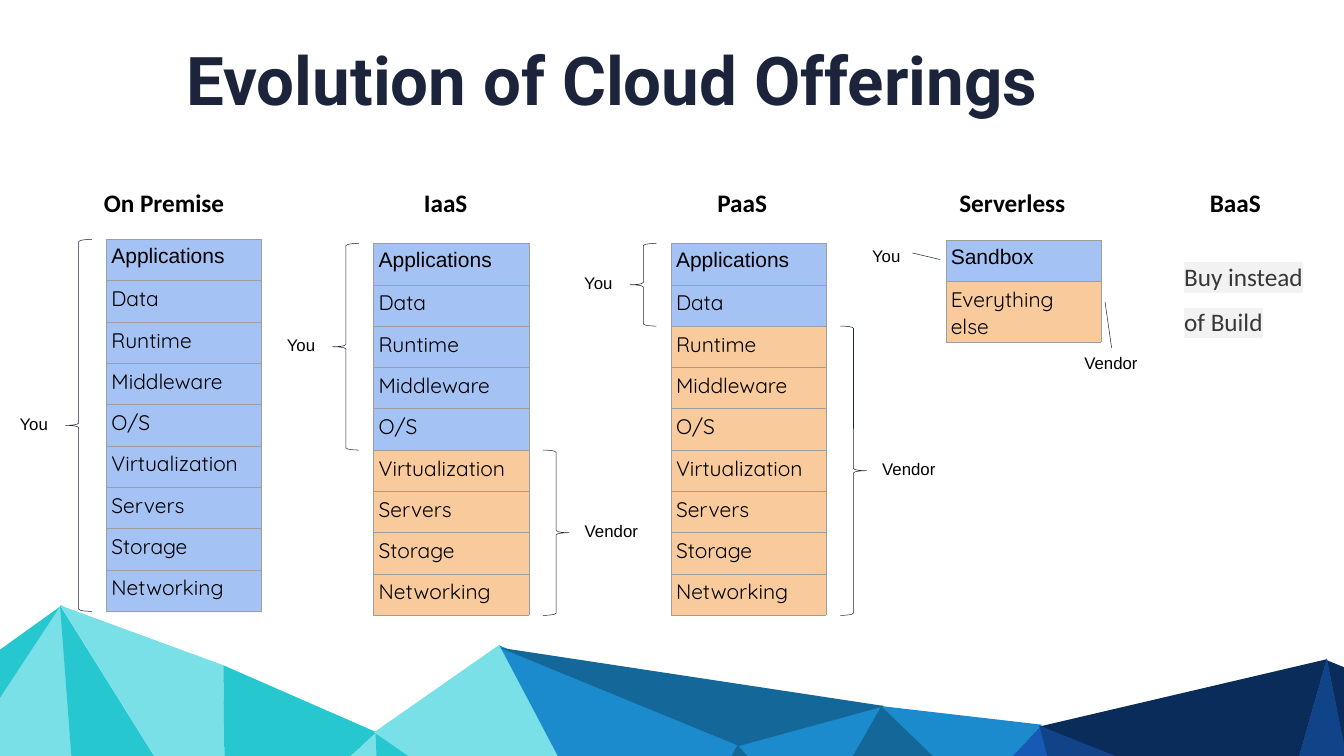
"""Build the slide on the evolution of cloud offerings."""
from dataclasses import dataclass

from lxml import etree
from pptx import Presentation
from pptx.dml.color import RGBColor
from pptx.enum.shapes import MSO_CONNECTOR, MSO_SHAPE
from pptx.enum.text import MSO_ANCHOR, MSO_AUTO_SIZE, PP_ALIGN
from pptx.oxml.ns import qn
from pptx.util import Inches, Pt

LEFT_BRACE, RIGHT_BRACE = MSO_SHAPE.LEFT_BRACE, MSO_SHAPE.RIGHT_BRACE
STRAIGHT = MSO_CONNECTOR.STRAIGHT
TOP = MSO_ANCHOR.TOP
CENTER = PP_ALIGN.CENTER
NO_AUTOFIT = MSO_AUTO_SIZE.NONE

NAVY = RGBColor(0x1B, 0x24, 0x3B)
BLACK = RGBColor(0x00, 0x00, 0x00)
CHARCOAL = RGBColor(0x37, 0x37, 0x37)
HIGHLIGHT = RGBColor(0xF2, 0xF2, 0xF2)
BORDER = RGBColor(0x9E, 0x9E, 0x9E)
YOU_BLUE = RGBColor(0xA4, 0xC2, 0xF4)
VENDOR_ORANGE = RGBColor(0xF9, 0xCB, 0x9C)
TEAL = RGBColor(0x27, 0xC7, 0xCF)
AQUA = RGBColor(0x78, 0xE0, 0xE6)
AZURE = RGBColor(0x1B, 0x8B, 0xCD)
STEEL = RGBColor(0x14, 0x68, 0x99)
COBALT = RGBColor(0x16, 0x5A, 0xB6)
MIDNIGHT = RGBColor(0x0A, 0x2C, 0x5B)
ROYAL = RGBColor(0x10, 0x43, 0x88)

COLUMN_WIDTH = 3.08
ROW_HEIGHT = 0.82
BRACE_WIDTH = 0.52
LABEL_HEIGHT = 0.51
YOU_WIDTH, VENDOR_WIDTH = 0.9, 1.28
LAYERS = ("Applications", "Data", "Runtime", "Middleware", "O/S",
          "Virtualization", "Servers", "Storage", "Networking")


@dataclass
class Facet:
    color: RGBColor
    points: list[tuple[float, float]]


@dataclass
class Stack:
    left: float
    top: float
    layers: tuple[str, ...]
    yours: int
    braced: bool = True


@dataclass
class Heading:
    text: str
    left: float
    width: float


FACETS = [
    Facet(TEAL, [(1.24, 12), (0, 12.89), (0, 13.88)]),
    Facet(AQUA, [(1.57, 16.64), (1.21, 12.01), (-0.02, 13.88), (-0.02, 16.64)]),
    Facet(TEAL, [(4.08, 16.64), (1.19, 12.01), (1.54, 16.64)]),
    Facet(AQUA, [(4.47, 16.64), (4.43, 13.2), (1.19, 12.01), (4.08, 16.64)]),
    Facet(TEAL, [(5.18, 16.64), (7.47, 14.53), (4.43, 13.2), (4.47, 16.64)]),
    Facet(AQUA, [(7.55, 16.64), (7.47, 14.53), (5.18, 16.64)]),
    Facet(TEAL, [(10.52, 16.64), (7.45, 14.53), (7.53, 16.64)]),
    Facet(AQUA, [(11.94, 16.64), (9.91, 12.79), (7.42, 14.53), (10.49, 16.64)]),
    Facet(AZURE, [(13.62, 16.66), (14.66, 14.76), (9.91, 12.81), (11.94, 16.66)]),
    Facet(AZURE, [(14.61, 14.79), (16.1, 16.47), (17.51, 14)]),
    Facet(STEEL, [(16.08, 16.47), (19.35, 15.8), (17.49, 14)]),
    Facet(AZURE, [(17.48, 14.01), (19.34, 15.8), (20.67, 14.38)]),
    Facet(COBALT, [(21.24, 16.71), (20.65, 14.4), (19.31, 15.83), (20.28, 16.71)]),
    Facet(MIDNIGHT, [(20.6, 14.42), (25.4, 16.33), (26.32, 13.08)]),
    Facet(ROYAL, [(24.41, 16.71), (25.42, 16.31), (20.62, 14.4), (21.21, 16.71)]),
    Facet(MIDNIGHT, [(26.81, 13.3), (26.32, 13.1), (26.81, 15.57)]),
    Facet(ROYAL, [(26.81, 16.71), (26.81, 15.52), (26.32, 13.06), (25.4, 16.31),
                  (26, 16.71)]),
    Facet(STEEL, [(9.91, 12.85), (17.55, 14.01), (14.66, 14.8)]),
    Facet(STEEL, [(15.71, 16.68), (16.12, 16.46), (14.63, 14.78), (13.59, 16.68)]),
]
STACKS = [
    Stack(2.11, 4.75, LAYERS, 9),
    Stack(7.41, 4.83, LAYERS, 5),
    Stack(13.31, 4.83, LAYERS, 2),
    Stack(18.76, 4.77, ("Sandbox", "Everything else"), 1, braced=False),
]
HEADINGS = [
    Heading("On Premise", 1.96, 3.39),
    Heading("IaaS", 8.31, 1.28),
    Heading("PaaS", 14.13, 1.45),
    Heading("Serverless", 18.93, 2.9),
    Heading("BaaS", 23.9, 1.66),
]


def set_font(paragraph, name: str, size: float, color: RGBColor, bold: bool = False) -> None:
    font = paragraph.font
    font.name, font.size, font.bold = name, Pt(size), bold
    font.color.rgb = color


def set_margins(target, side: float, vertical: float) -> None:
    target.margin_left = target.margin_right = Inches(side)
    target.margin_top = target.margin_bottom = Inches(vertical)


def add_facet(page, facet: Facet) -> None:
    points = [(Inches(x), Inches(y)) for x, y in facet.points]
    builder = page.shapes.build_freeform(*points[0])
    builder.add_line_segments(points[1:], close=True)
    shape = builder.convert_to_shape()
    shape.shadow.inherit = False
    shape.fill.solid()
    shape.fill.fore_color.rgb = facet.color
    shape.line.fill.background()


def add_text(page, text: str, left: float, top: float, width: float, height: float,
             name: str, size: float, color: RGBColor = BLACK, bold: bool = False,
             vertical: float = 0.1):
    box = page.shapes.add_textbox(Inches(left), Inches(top), Inches(width), Inches(height))
    frame = box.text_frame
    frame.word_wrap = True
    frame.text = text
    set_margins(frame, 0.1, vertical)
    for paragraph in frame.paragraphs:
        set_font(paragraph, name, size, color, bold)
    return frame


def add_label(page, text: str, left: float, top: float, width: float) -> None:
    add_text(page, text, left, top, width, LABEL_HEIGHT, "Arial", 24)


def add_border(cell) -> None:
    properties = cell._tc.get_or_add_tcPr()
    for index, side in enumerate(("a:lnL", "a:lnR", "a:lnT", "a:lnB")):
        line = etree.Element(qn(side), w=str(Pt(0.75)))
        fill = etree.SubElement(line, qn("a:solidFill"))
        etree.SubElement(fill, qn("a:srgbClr"), val=str(BORDER))
        properties.insert(index, line)


def add_brace(page, kind, left: float, top: float, height: float) -> None:
    brace = page.shapes.add_shape(kind, Inches(left), Inches(top),
                                  Inches(BRACE_WIDTH), Inches(height))
    brace.shadow.inherit = False
    brace.fill.background()
    brace.line.color.rgb = NAVY
    brace.line.width = Pt(0.75)


def add_stack(page, stack: Stack) -> None:
    count = len(stack.layers)
    table = page.shapes.add_table(count, 1, Inches(stack.left), Inches(stack.top),
                                  Inches(COLUMN_WIDTH), Inches(ROW_HEIGHT * count)).table
    table.first_row = table.horz_banding = False
    for index, layer in enumerate(stack.layers):
        table.rows[index].height = Inches(ROW_HEIGHT)
        cell = table.cell(index, 0)
        cell.text = layer
        set_margins(cell, 0.1, 0.1)
        cell.fill.solid()
        cell.fill.fore_color.rgb = YOU_BLUE if index < stack.yours else VENDOR_ORANGE
        add_border(cell)
        set_font(cell.text_frame.paragraphs[0], "Quicksand" if index else "Arial", 30, BLACK)
    if not stack.braced:
        return
    height = stack.yours * ROW_HEIGHT
    add_brace(page, LEFT_BRACE, stack.left - 0.81, stack.top, height)
    add_label(page, "You", stack.left - 1.82, stack.top + height / 2 - 0.34, YOU_WIDTH)
    if stack.yours < count:
        top = stack.top + height
        rest = (count - stack.yours) * ROW_HEIGHT
        add_brace(page, RIGHT_BRACE, stack.left + 3.36, top, rest)
        add_label(page, "Vendor", stack.left + 4.09, top + rest / 2 - 0.34, VENDOR_WIDTH)


def add_pointer(page, start: tuple[float, float], end: tuple[float, float]) -> None:
    pointer = page.shapes.add_connector(STRAIGHT, *map(Inches, start + end))
    pointer.line.color.rgb = NAVY
    pointer.line.width = Pt(0.75)
    etree.SubElement(pointer.element.spPr, qn("a:effectLst"))


def add_title(page) -> None:
    title = page.shapes.title
    title.element.getparent().append(title.element)
    title.left, title.top, title.width, title.height = map(Inches, (2.27, 0.71, 19.74, 2.29))
    frame = title.text_frame
    frame.text = "Evolution of Cloud Offerings"
    frame.auto_size, frame.vertical_anchor = NO_AUTOFIT, TOP
    set_margins(frame, 0.1, 0.05)
    frame.paragraphs[0].alignment = CENTER
    set_font(frame.paragraphs[0], "Roboto", 96, NAVY, bold=True)


def add_advice(page) -> None:
    frame = add_text(page, "Buy instead\nof Build", 23.39, 4.83, 3.08, 2.29,
                     "Calibri", 36, CHARCOAL, vertical=0.05)
    for paragraph in frame.paragraphs:
        paragraph.line_spacing = 1.5
        for span in paragraph.runs:
            mark = etree.SubElement(span._r.get_or_add_rPr(), qn("a:highlight"))
            etree.SubElement(mark, qn("a:srgbClr"), val=str(HIGHLIGHT))


def main() -> None:
    deck = Presentation()
    deck.slide_width, deck.slide_height = Inches(26.66), Inches(15)
    page = deck.slides.add_slide(deck.slide_layouts[5])
    for facet in FACETS:
        add_facet(page, facet)
    add_title(page)
    for heading in HEADINGS:
        add_text(page, heading.text, heading.left, 3.61, heading.width, 0.77,
                 "Calibri", 36, bold=True)
    for stack in STACKS:
        add_stack(page, stack)
    add_label(page, "You", 17.2, 4.77, YOU_WIDTH)
    add_label(page, "Vendor", 21.41, 6.9, VENDOR_WIDTH)
    add_pointer(page, (18.1, 5.02), (18.65, 5.15))
    add_pointer(page, (22.05, 6.9), (21.92, 5.99))
    add_advice(page)
    deck.save("out.pptx")


if __name__ == "__main__":
    main()
